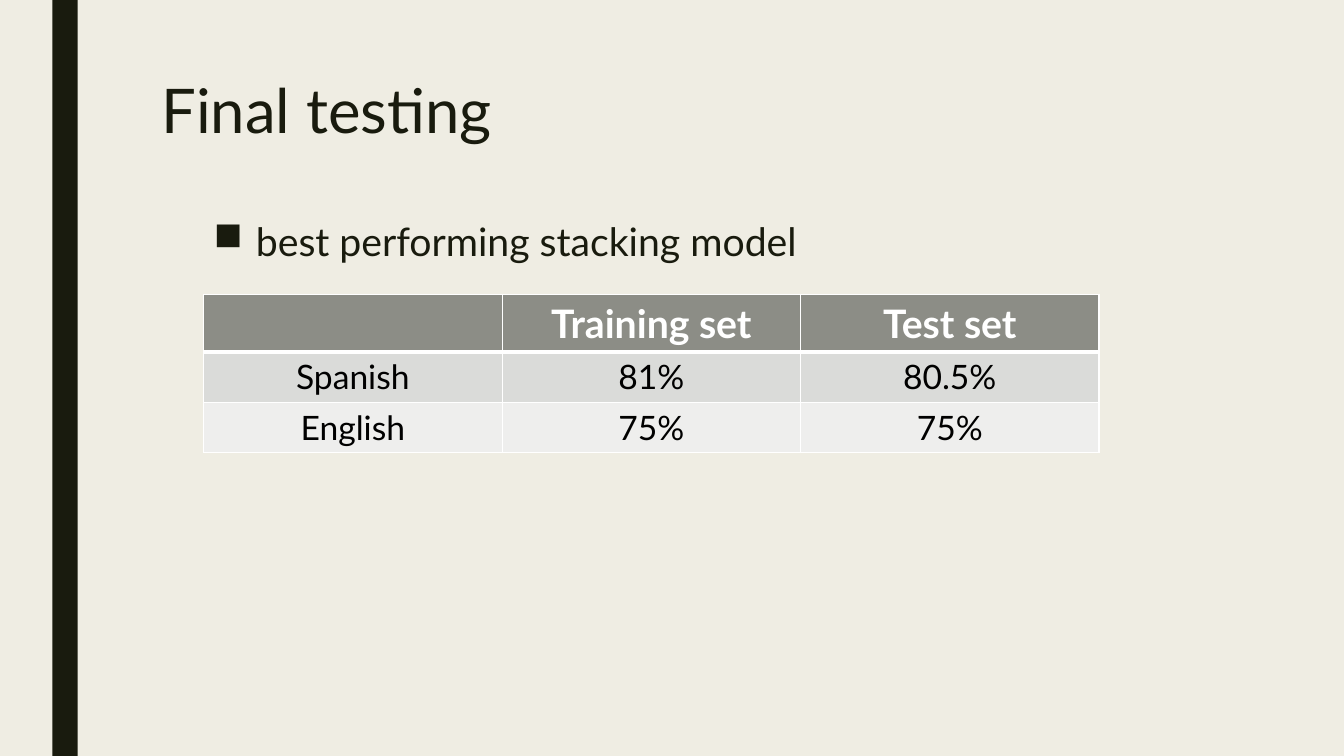
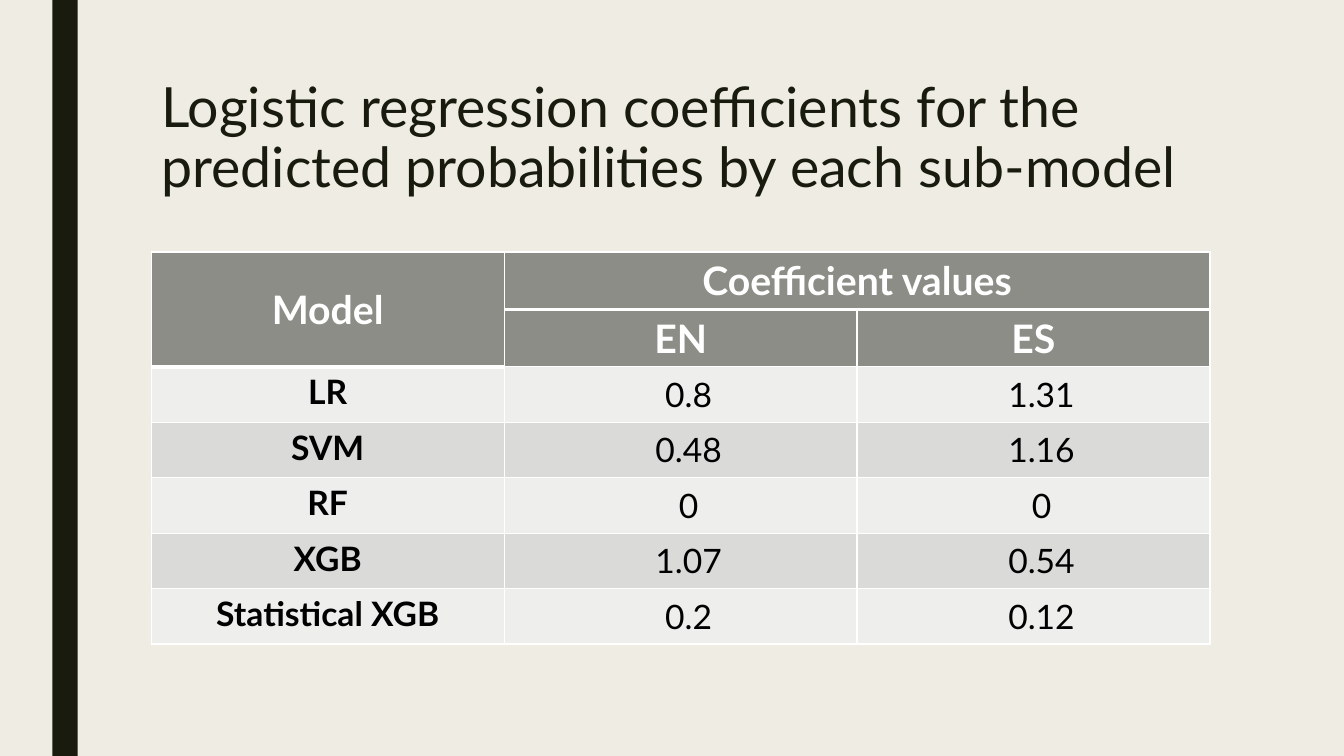
import pptx
import pptx.dml.color
import pptx.enum.shapes
import pptx.enum.text
import pptx.util
from lxml import etree
from pptx.oxml.ns import qn
from pptx.util import Inches

FONT = "Lato"
INK, PAPER, WHITE, BLACK = "191B0E", "EFEDE3", "FFFFFF", "000000"
HEADER_FILL, DARK_ROW, LIGHT_ROW = "8C8D86", "DADBD9", "EEEEED"
HEADER_TEXT = {"size": 28, "color": WHITE, "bold": True}
VALUE_TEXT = {"size": 24, "color": BLACK, "bold": False}
LABEL_TEXT = VALUE_TEXT | {"bold": True}
HEADER_HEIGHT = 0.57

ALIGN = pptx.enum.text.PP_ALIGN
ANCHOR = pptx.enum.text.MSO_ANCHOR


def rgb(hex_color):
    return pptx.dml.color.RGBColor.from_string(hex_color)


def paint(fill, color):
    fill.solid()
    fill.fore_color.rgb = rgb(color)


def write(frame, text, size, color=INK, bold=False, align=ALIGN.LEFT, spacing=1.0):
    """Fill the frame with one formatted paragraph and return that paragraph."""
    paragraph = frame.paragraphs[0]
    paragraph.alignment = align
    paragraph.line_spacing = spacing
    run = paragraph.add_run()
    run.text = text
    font_format = {"name": FONT, "size": pptx.util.Pt(size), "bold": bold}
    for attribute, value in font_format.items():
        setattr(run.font, attribute, value)
    run.font.color.rgb = rgb(color)
    return paragraph


def add_titled_slide(prs, title_text, title_size):
    slide = prs.slides.add_slide(prs.slide_layouts[5])
    paint(slide.background.fill, PAPER)

    band = slide.shapes.add_shape(
        pptx.enum.shapes.MSO_SHAPE.RECTANGLE,
        Inches(0.52), 0, Inches(0.25), prs.slide_height)
    band.shadow.inherit = False
    band.line.fill.background()
    paint(band.fill, INK)

    title = slide.shapes.title
    place = {"left": 1.5, "top": 0.75, "width": 10.5, "height": 1.62}
    for attribute, value in place.items():
        setattr(title, attribute, Inches(value))
    frame_format = {"vertical_anchor": ANCHOR.TOP, "word_wrap": True,
                    "auto_size": pptx.enum.text.MSO_AUTO_SIZE.NONE}
    for attribute, value in frame_format.items():
        setattr(title.text_frame, attribute, value)
    write(title.text_frame, title_text, title_size, spacing=0.89)
    return slide


def add_bullet(slide, text, left, top, width, height):
    box = slide.shapes.add_textbox(*map(Inches, (left, top, width, height)))
    box.text_frame.word_wrap = True
    box.text_frame.vertical_anchor = ANCHOR.MIDDLE
    paragraph = write(box.text_frame, text, 28, spacing=0.94)
    properties = paragraph._p.get_or_add_pPr()
    properties.set("marL", str(Inches(0.42)))
    properties.set("indent", str(-Inches(0.42)))
    etree.SubElement(properties, qn("a:buChar"), char="■")


def set_borders(cell, widths):
    """Draw white cell edges; widths maps L, R, T and B to points."""
    properties = cell._tc.get_or_add_tcPr()
    for index, (side, width) in enumerate(widths.items()):
        line = etree.Element(qn(f"a:ln{side}"), w=str(pptx.util.Pt(width)))
        fill = etree.SubElement(line, qn("a:solidFill"))
        etree.SubElement(fill, qn("a:srgbClr"), val=WHITE)
        properties.insert(index, line)


def add_grid(slide, rows, left, top, column_width, row_height, body_fills,
             header_rows=1, merges=(), label_text=VALUE_TEXT, value_indent=0):
    """Add a table with header rows and alternating body fills."""
    heights = [HEADER_HEIGHT if i < header_rows else row_height
               for i in range(len(rows))]
    columns = len(rows[0])
    table = slide.shapes.add_table(
        len(rows), columns, Inches(left), Inches(top),
        Inches(column_width * columns), Inches(sum(heights))).table
    for column in table.columns:
        column.width = Inches(column_width)
    for row, height in zip(table.rows, heights):
        row.height = Inches(height)
    for first, last in merges:
        table.cell(*first).merge(table.cell(*last))

    for r, row in enumerate(rows):
        is_header = r < header_rows
        fill = HEADER_FILL if is_header else body_fills[(r - header_rows) % 2]
        for c, text in enumerate(row):
            cell = table.cell(r, c)
            paint(cell.fill, fill)
            thick = r == 0 or cell.is_spanned
            widths = {"L": 1, "R": 1, "T": 1, "B": 3 if thick else 1}
            if r > 0:
                del widths["T"]
            set_borders(cell, widths)
            if cell.is_merge_origin or (c > 0 and not is_header):
                cell.vertical_anchor = ANCHOR.MIDDLE
            if not text:
                continue
            style = HEADER_TEXT if is_header else VALUE_TEXT if c else label_text
            paragraph = write(cell.text_frame, text, align=ALIGN.CENTER, **style)
            if c > 0 and not is_header and value_indent:
                paragraph._p.get_or_add_pPr().set("indent", str(Inches(value_indent)))


def main():
    prs = pptx.Presentation()
    prs.slide_width, prs.slide_height = Inches(13.33), Inches(7.5)

    testing = add_titled_slide(prs, "Final testing", 44)
    add_bullet(testing, "best performing stacking model", 2.02, 2.06, 9.3, 0.7)
    accuracy = [
        ("", "Training set", "Test set"),
        ("Spanish", "81%", "80.5%"),
        ("English", "75%", "75%"),
    ]
    add_grid(testing, accuracy, 2.02, 2.92, 2.96, 0.5, (DARK_ROW, LIGHT_ROW))

    regression = add_titled_slide(
        prs, "Logistic regression coefficients for the predicted probabilities "
        "by each sub-model", 39.6)
    coefficients = [
        ("Model", "Coefficient values", ""),
        ("", "EN", "ES"),
        ("LR", "0.8", "1.31"),
        ("SVM", "0.48", "1.16"),
        ("RF", "0", "0"),
        ("XGB", "1.07", "0.54"),
        ("Statistical XGB", "0.2", "0.12"),
    ]
    add_grid(regression, coefficients, 1.5, 2.5, 3.5, 0.55, (LIGHT_ROW, DARK_ROW),
             header_rows=2, merges=[((0, 0), (1, 0)), ((0, 1), (0, 2))],
             label_text=LABEL_TEXT, value_indent=0.16)

    prs.save("out.pptx")


if __name__ == "__main__":
    main()
